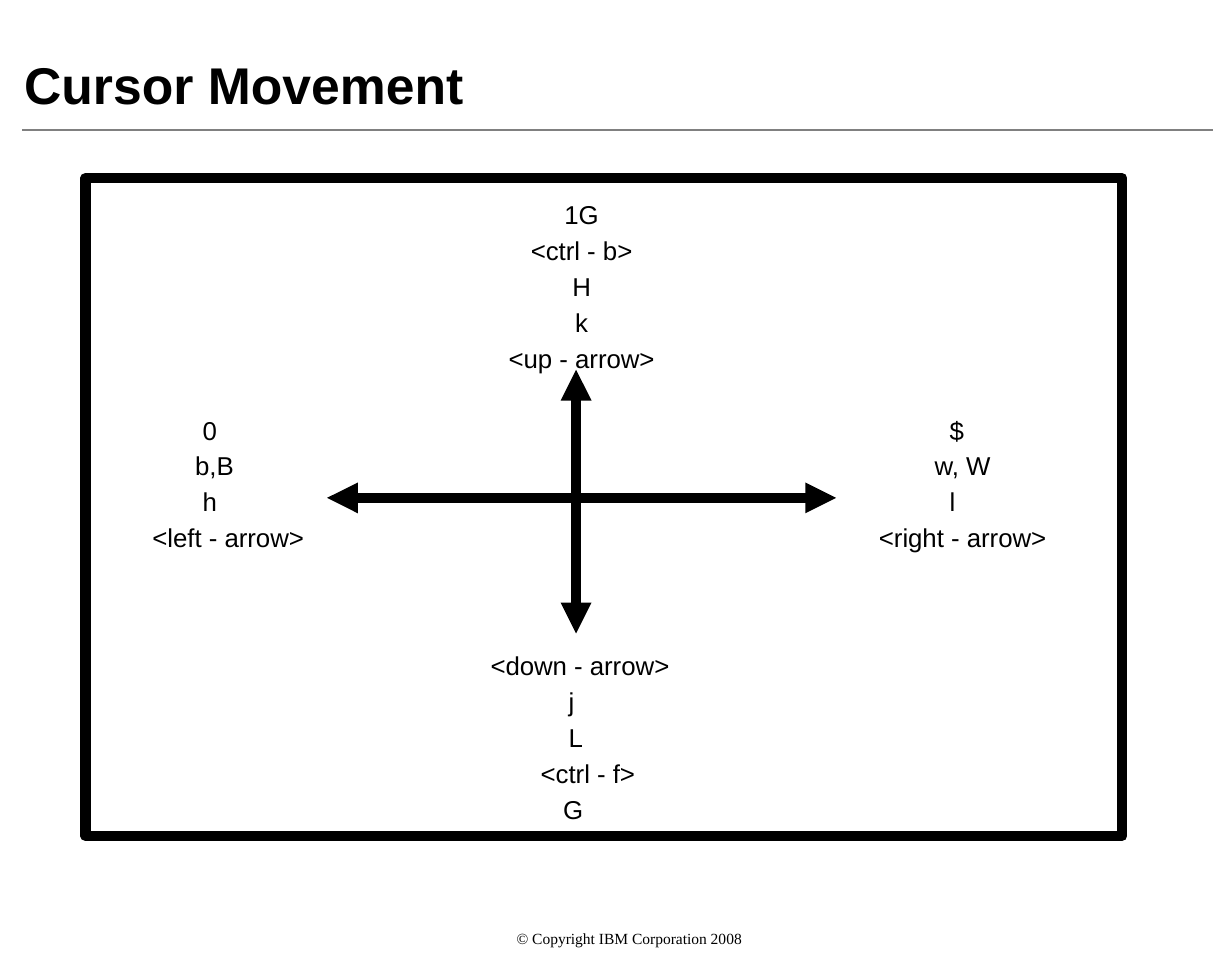
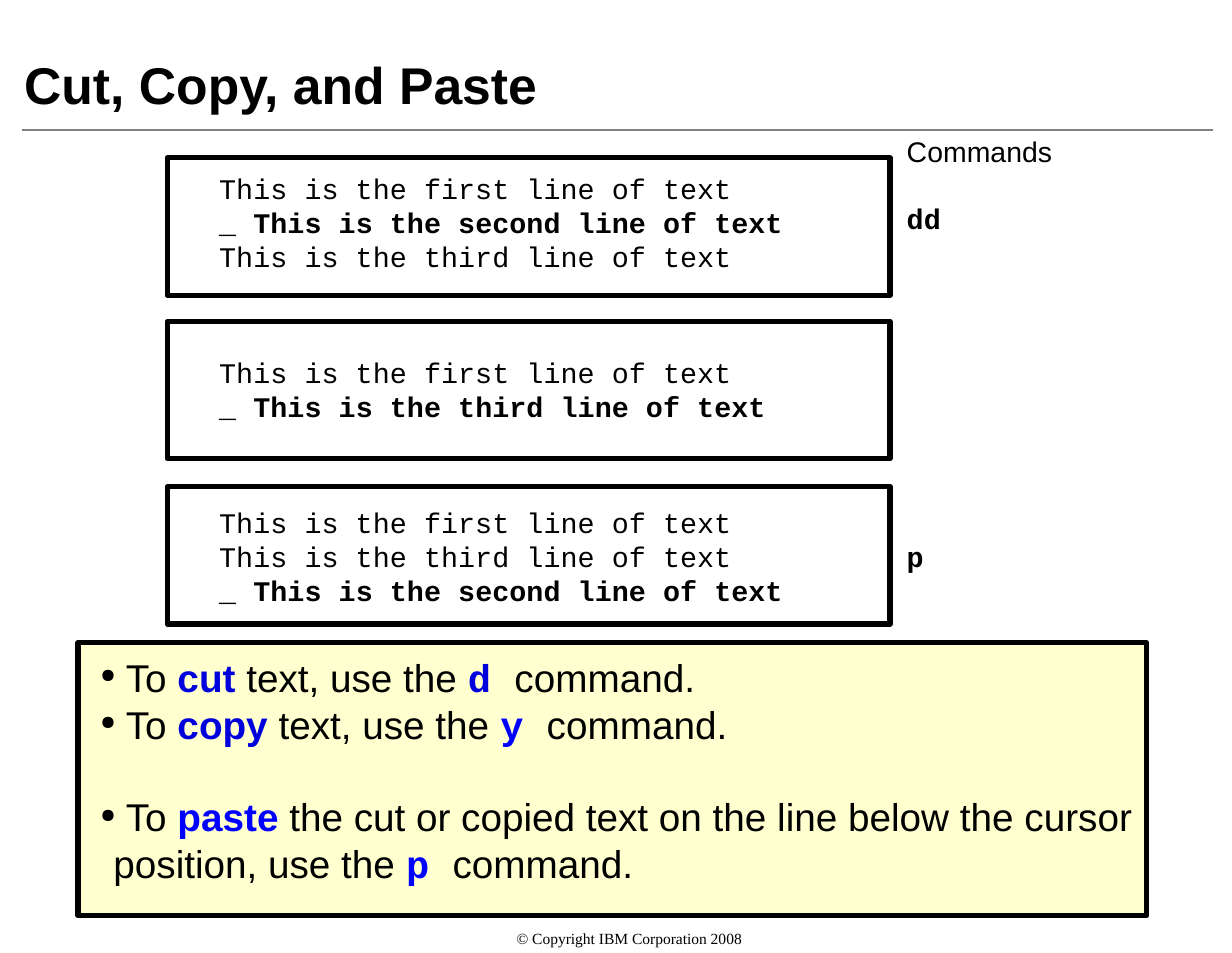
from dataclasses import dataclass

from lxml import etree
from pptx import Presentation
from pptx.dml.color import RGBColor
from pptx.enum import shapes, text
from pptx.oxml import ns
from pptx.util import Inches, Pt

BLACK = RGBColor(0x00, 0x00, 0x00)
GRAY = RGBColor(0x80, 0x80, 0x80)
CREAM = RGBColor(0xFF, 0xFF, 0xD0)
DARK_BLUE = RGBColor(0x00, 0x00, 0xDC)
BLUE = RGBColor(0x00, 0x00, 0xFF)

SANS, MONO, SERIF = "Arial", "Courier New", "Times New Roman"
WIDTH, HEIGHT = 6.63, 5.13
LEFT, CENTER = text.PP_ALIGN.LEFT, text.PP_ALIGN.CENTER


@dataclass(frozen=True)
class Span:
    """A stretch of text; None keeps the font of its paragraph."""
    text: str
    font: str | None = None
    bold: bool | None = None
    color: RGBColor | None = None


@dataclass(frozen=True)
class Line:
    spans: tuple[Span, ...]
    size: float
    font: str = SANS
    bold: bool = False
    align: text.PP_ALIGN = LEFT
    indent: float = 0
    before: float = 0
    after: float = 0
    bullet: bool = False


@dataclass(frozen=True)
class Box:
    left: float
    top: float
    width: float
    height: float

    def lengths(self) -> list[int]:
        return [Inches(n) for n in (self.left, self.top, self.width, self.height)]


@dataclass(frozen=True)
class KeyGroup:
    """Keys that move the cursor one way, each with its indent."""
    box: Box
    keys: tuple[tuple[str, float], ...]
    align: text.PP_ALIGN = LEFT


@dataclass(frozen=True)
class Screen:
    frame_top: float
    text_top: float
    lines: tuple[str, ...]
    cursor_row: int


KEY_GROUPS = (
    KeyGroup(Box(2.73, 1.07, 0.8, 1.11),
             (("1G", 0), ("<ctrl - b>", 0), ("H", 0), ("k", 0), ("<up - arrow>", 0)), CENTER),
    KeyGroup(Box(2.64, 3.5, 1.06, 0.94),
             (("<down - arrow>", 0), ("j", 0.42), ("L", 0.42), ("<ctrl - f>", 0.27), ("G", 0.39))),
    KeyGroup(Box(0.82, 2.23, 0.85, 0.75),
             (("0", 0.27), ("b,B", 0.23), ("h", 0.27), ("<left - arrow>", 0))),
    KeyGroup(Box(4.61, 2.23, 1.15, 0.75),
             (("$", 0.5), ("w, W", 0.42), ("l", 0.5), ("<right - arrow>", 0.12))),
)

FIRST, SECOND, THIRD = (f"This is the {n} line of text" for n in ("first", "second", "third"))
SCREENS = (
    Screen(0.85, 0.92, (FIRST, SECOND, THIRD), 1),
    Screen(1.73, 1.91, (FIRST, THIRD), 1),
    Screen(2.62, 2.72, (FIRST, THIRD, SECOND), 2),
)


def add_bullet(paragraph) -> None:
    properties = paragraph._p.get_or_add_pPr()
    properties.set("marL", str(Inches(0.07)))
    properties.set("indent", str(Inches(-0.07)))
    color = etree.SubElement(properties, ns.qn("a:buClr"))
    etree.SubElement(color, ns.qn("a:srgbClr"), val=str(BLACK))
    etree.SubElement(properties, ns.qn("a:buSzPct"), val="50000")
    etree.SubElement(properties, ns.qn("a:buChar"), char="●")


def add_text(slide, box: Box, lines: list[Line], insets=(0, 0, 0, 0),
             anchor=text.MSO_ANCHOR.TOP) -> None:
    frame = slide.shapes.add_textbox(*box.lengths()).text_frame
    frame.word_wrap = True
    frame.vertical_anchor = anchor
    (frame.margin_left, frame.margin_top,
     frame.margin_right, frame.margin_bottom) = (Inches(n) for n in insets)
    for i, line in enumerate(lines):
        paragraph = frame.add_paragraph() if i else frame.paragraphs[0]
        paragraph.alignment = line.align
        if line.before:
            paragraph.space_before = Pt(line.before)
        if line.after:
            paragraph.space_after = Pt(line.after)
        if line.bullet:
            add_bullet(paragraph)
        elif line.indent:
            paragraph._p.get_or_add_pPr().set("marL", str(Inches(line.indent)))
        paragraph.font.name = line.font
        paragraph.font.size = Pt(line.size)
        paragraph.font.bold = line.bold
        paragraph.font.color.rgb = BLACK
        for span in line.spans:
            run = paragraph.add_run()
            run.text = span.text
            if span.font:
                run.font.name = span.font
            if span.bold is not None:
                run.font.bold = span.bold
            if span.color is not None:
                run.font.color.rgb = span.color


def add_frame(slide, box: Box, weight: float, fill: RGBColor | None = None) -> None:
    shape = slide.shapes.add_shape(shapes.MSO_SHAPE.RECTANGLE, *box.lengths())
    shape.shadow.inherit = False
    if fill is None:
        shape.fill.background()
    else:
        shape.fill.solid()
        shape.fill.fore_color.rgb = fill
    shape.line.color.rgb = BLACK
    shape.line.width = Pt(weight)


def add_line(slide, start: tuple[float, float], end: tuple[float, float],
             color: RGBColor, weight: float, arrows: bool = False) -> None:
    connector = slide.shapes.add_connector(
        shapes.MSO_CONNECTOR.STRAIGHT, *(Inches(n) for n in start + end))
    connector.line.color.rgb = color
    connector.line.width = Pt(weight)
    if arrows:
        outline = connector.line._get_or_add_ln()
        for tag in ("a:headEnd", "a:tailEnd"):
            etree.SubElement(outline, ns.qn(tag), type="triangle")
    etree.SubElement(connector._element.spPr, ns.qn("a:effectLst"))


def add_slide(presentation, title: str):
    """Add a slide with the shared title, rule and footer."""
    slide = presentation.slides.add_slide(presentation.slide_layouts[6])
    add_line(slide, (0.12, 0.7), (6.53, 0.7), GRAY, 1)
    add_text(slide, Box(0.06, 0.06, 6.49, 0.59), [Line((Span(title),), 20, bold=True)],
             (0.07, 0.03, 0.07, 0.03), text.MSO_ANCHOR.BOTTOM)
    footer = Line((Span("© Copyright IBM Corporation 2008"),), 6, SERIF,
                  align=CENTER, indent=0.24)
    add_text(slide, Box(0, 5, WIDTH, 0.13), [footer], (0, 0, 0.1, 0))
    return slide


def build_cursor_movement(presentation) -> None:
    slide = add_slide(presentation, "Cursor Movement")
    for group in KEY_GROUPS:
        add_text(slide, group.box,
                 [Line((Span(key),), 10, align=group.align, indent=indent, after=1.9)
                  for key, indent in group.keys])
    add_line(slide, (1.76, 2.68), (4.5, 2.68), BLACK, 4, arrows=True)
    add_line(slide, (3.1, 1.99), (3.1, 3.41), BLACK, 4, arrows=True)
    add_frame(slide, Box(0.46, 0.96, 5.58, 3.54), 4)


def add_screen(slide, screen: Screen) -> None:
    add_frame(slide, Box(0.9, screen.frame_top, 3.89, 0.74), 2)
    lines = []
    for row, words in enumerate(screen.lines):
        at_cursor = row == screen.cursor_row
        spans = (Span("_ "), Span(words, bold=True)) if at_cursor else (Span(words),)
        lines.append(Line(spans, 11, MONO, indent=0.18))
    add_text(slide, Box(1, screen.text_top, 3.56, 0.18 * len(lines)), lines)


def tip(verb: str, verb_color: RGBColor, middle: str, key: str, key_color: RGBColor,
        before: float = 0) -> Line:
    spans = (Span(" To "), Span(verb, bold=True, color=verb_color), Span(middle),
             Span(f"{key} ", MONO, True, key_color), Span("command."))
    return Line(spans, 15, before=before, bullet=True)


def build_cut_copy_paste(presentation) -> None:
    slide = add_slide(presentation, "Cut, Copy, and Paste")
    for screen in SCREENS:
        add_screen(slide, screen)
    add_text(slide, Box(4.88, 0.72, 0.9, 0.73),
             [Line((Span("Commands"),), 11),
              Line((Span("dd"),), 11, MONO, bold=True, before=13)])
    add_text(slide, Box(4.88, 2.9, 0.9, 0.18), [Line((Span("p"),), 11, MONO, bold=True)])
    add_frame(slide, Box(0.42, 3.46, 5.75, 1.47), 2, CREAM)
    add_text(slide, Box(0.54, 3.52, 5.61, 1.25), [
        tip("cut", DARK_BLUE, " text, use the ", "d", DARK_BLUE),
        tip("copy", DARK_BLUE, " text, use the ", "y", BLUE),
        tip("paste", BLUE, " the cut or copied text on the line below the cursor"
            " position, use the ", "p", BLUE, before=18),
    ])


def main() -> None:
    presentation = Presentation()
    presentation.slide_width = Inches(WIDTH)
    presentation.slide_height = Inches(HEIGHT)
    build_cursor_movement(presentation)
    build_cut_copy_paste(presentation)
    presentation.save("out.pptx")


if __name__ == "__main__":
    main()
